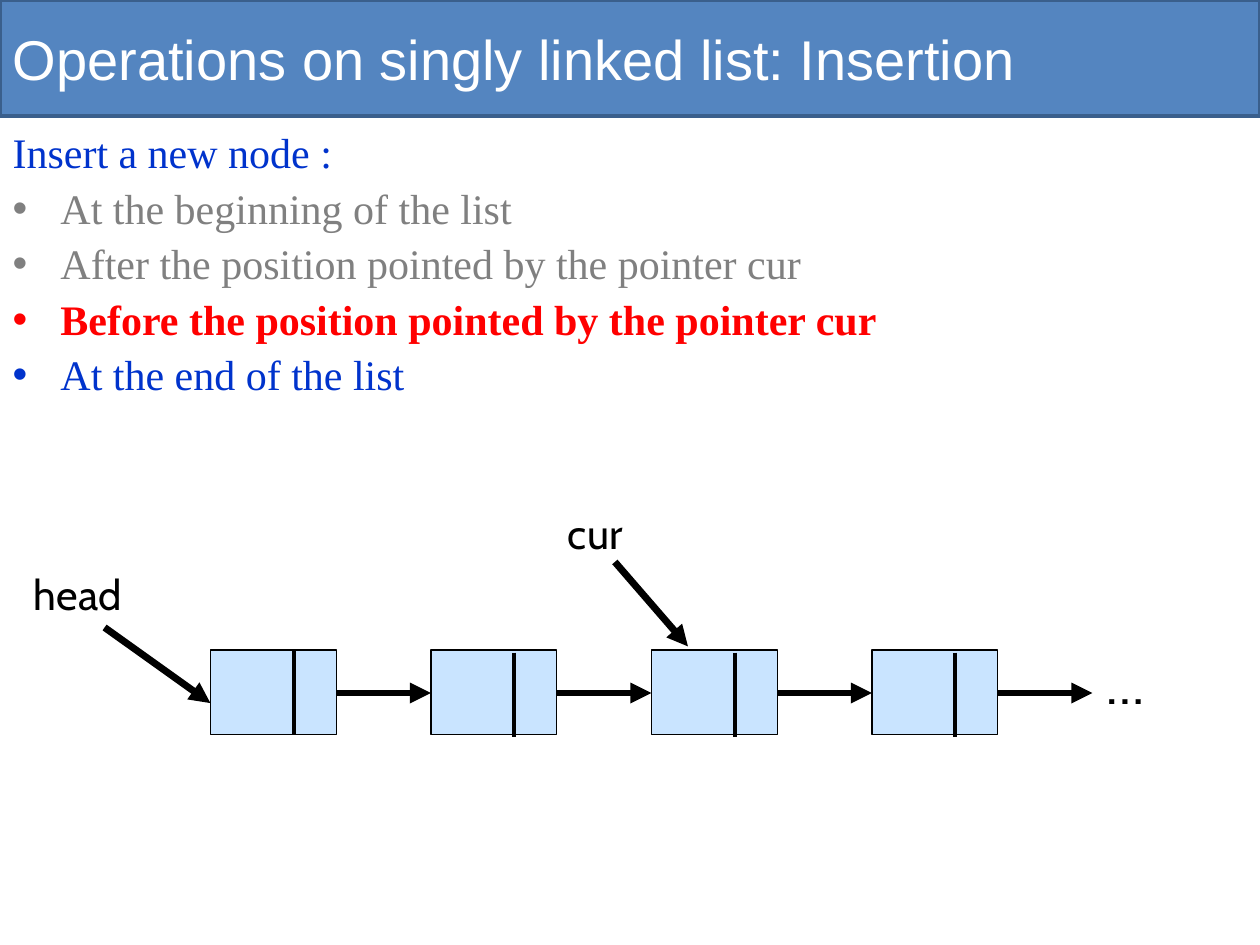
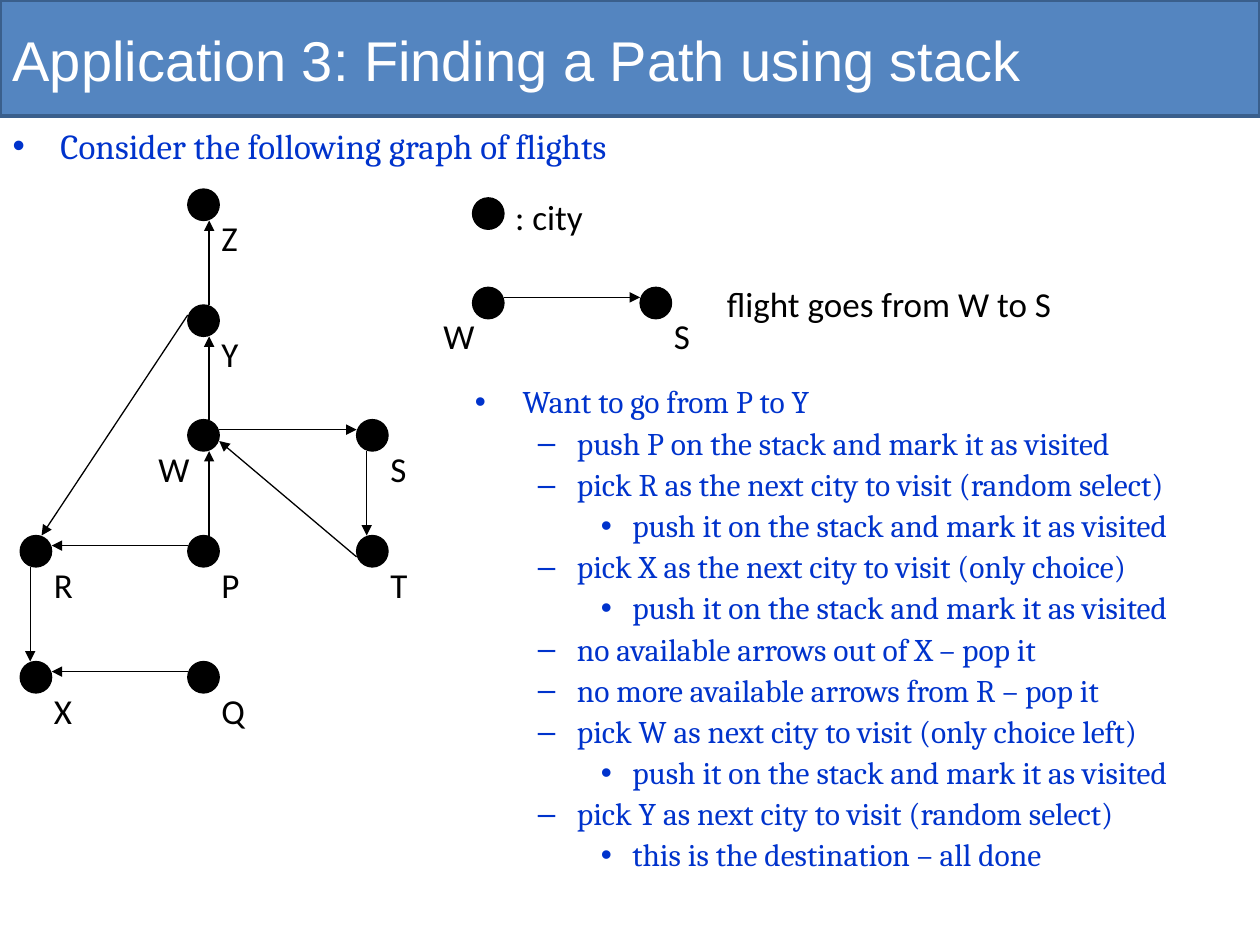
from dataclasses import dataclass
from lxml.etree import SubElement
from pptx import Presentation
from pptx.dml.color import RGBColor
from pptx.enum.shapes import MSO_CONNECTOR, MSO_SHAPE
from pptx.enum.text import MSO_ANCHOR, MSO_AUTO_SIZE, PP_ALIGN
from pptx.oxml.ns import qn
from pptx.util import Inches, Pt


@dataclass(frozen=True)
class Theme:
    band: str = "5485C0"
    edge: str = "3A5F8C"
    blue: str = "0033CC"
    gray: str = "808080"
    red: str = "FF0000"
    cell: str = "C9E4FF"
    ink: str = "000000"
    white: str = "FFFFFF"
    head: int = 32
    large: int = 24
    mid: int = 20
    small: int = 18


T = Theme()

# Bullet, left margin and hanging indent of each list level
LEVELS = [("•", 0.38, -0.38), ("–", 0.81, -0.31), ("•", 1.25, -0.25)]

ITEMS = [
    ("Insert a new node :", None, T.blue, False),
    ("At the beginning of the list", 0, T.gray, False),
    ("After the position pointed by the pointer cur", 0, T.gray, False),
    ("Before the position pointed by the pointer cur", 0, T.red, True),
    ("At the end of the list", 0, T.blue, False),
]

PUSH = "push it on the stack and mark it as visited"
STEPS = [
    ("Want to go from P to Y", 0),
    ("push P on the stack and mark it as visited", 1),
    ("pick R as the next city to visit (random select)", 1),
    (PUSH, 2),
    ("pick X as the next city to visit (only choice)", 1),
    (PUSH, 2),
    ("no available arrows out of X – pop it", 1),
    ("no more available arrows from R – pop it", 1),
    ("pick W as next city to visit (only choice left)", 1),
    (PUSH, 2),
    ("pick Y as next city to visit (random select)", 1),
    ("this is the destination – all done", 2),
]

# Flight graph: column and row of each city, then routes between ports
COLS = [0, 1.33, 2.67]
ROWS = [0, 0.92, 1.83, 2.75, 3.75]
CITIES = {"Z": (1, 0), "Y": (1, 1), "W": (1, 2), "S": (2, 2), "R": (0, 3),
          "P": (1, 3), "T": (2, 3), "X": (0, 4), "Q": (1, 4)}
DOT = 0.25
PORTS = {"left": (0, 0.08), "low left": (0, 0.17),
         "right": (DOT, 0.08), "low right": (DOT, 0.17),
         "top": (0.08, 0), "far top": (0.17, 0),
         "foot": (0.08, DOT), "far foot": (0.17, DOT)}
ROUTES = [
    ("P", "left", "R", "right"), ("Q", "left", "X", "right"),
    ("R", "foot", "X", "top"), ("Y", "left", "R", "far top"),
    ("P", "far top", "W", "far foot"), ("W", "far top", "Y", "far foot"),
    ("Y", "far top", "Z", "far foot"), ("W", "right", "S", "left"),
    ("S", "foot", "T", "top"), ("T", "low left", "W", "low right"),
]


def apply(target, fmt):
    for name, value in fmt.items():
        setattr(target, name, value)


def place(item, box):
    names = ("left", "top", "width", "height")
    apply(item, dict(zip(names, map(Inches, box))))


def write(para, text, size, font, color, bold=False):
    run = para.add_run()
    run.text = text
    apply(run.font, {"size": Pt(size), "name": font, "bold": bold})
    run.font.color.rgb = RGBColor.from_string(color)


def bullet(para, level):
    props = para._p.get_or_add_pPr()
    mark, left, hang = (None, 0, 0) if level is None else LEVELS[level]
    props.set("marL", str(Inches(left)))
    props.set("indent", str(Inches(hang)))
    if mark:
        SubElement(props, qn("a:buFont")).set("typeface", "Arial")
        SubElement(props, qn("a:buChar")).set("char", mark)
    else:
        SubElement(props, qn("a:buNone"))


def fill_list(frame, items, size, font, gap, pitch=0.9):
    """Items are (text, level, colour, bold)."""
    apply(frame, {"word_wrap": True, "auto_size": MSO_AUTO_SIZE.NONE,
                  "vertical_anchor": MSO_ANCHOR.TOP})
    for i, (text, level, color, bold) in enumerate(items):
        para = frame.add_paragraph() if i else frame.paragraphs[0]
        apply(para, {"level": level or 0, "line_spacing": pitch,
                     "space_before": Pt(gap if i else 0)})
        bullet(para, level)
        write(para, text, size, font, color, bold)


def label(slide, box, text, size, font):
    item = slide.shapes.add_textbox(*map(Inches, box))
    item.text_frame.word_wrap = True
    write(item.text_frame.paragraphs[0], text, size, font, T.ink)


def shape(slide, kind, box, fill, edge=T.ink, weight=0.75):
    item = slide.shapes.add_shape(kind, *map(Inches, box))
    item.shadow.inherit = False
    item.fill.solid()
    item.fill.fore_color.rgb = RGBColor.from_string(fill)
    item.line.color.rgb = RGBColor.from_string(edge)
    item.line.width = Pt(weight)
    return item


def line(slide, start, end, weight, arrow=True):
    item = slide.shapes.add_connector(
        MSO_CONNECTOR.STRAIGHT, *map(Inches, (*start, *end)))
    item.line.color.rgb = RGBColor.from_string(T.ink)
    item.line.width = Pt(weight)
    if arrow:
        SubElement(item.line._get_or_add_ln(), qn("a:tailEnd")).set("type", "triangle")
    SubElement(item._element.spPr, qn("a:effectLst"))


def add_band(deck, slide):
    """Put the title band at the back of the master."""
    band = shape(slide, MSO_SHAPE.RECTANGLE, (0, 0, 10, 0.92), T.band, T.edge, 2)
    deck.slide_master.shapes.element.insert(2, band.element)


def add_title(slide, text, box):
    title = slide.shapes.title
    place(title, box)
    apply(title.text_frame, {"word_wrap": True, "auto_size": MSO_AUTO_SIZE.NONE,
                             "vertical_anchor": MSO_ANCHOR.MIDDLE})
    para = title.text_frame.paragraphs[0]
    para.alignment = PP_ALIGN.LEFT
    write(para, text, T.head, "Arial", T.white)


def add_body(slide, box, *args):
    body = slide.placeholders[1]
    place(body, box)
    fill_list(body.text_frame, *args)


def draw_chain(slide, x, y, count=4):
    """Linked list whose first node has its corner at x, y."""
    wide, high, step = 1, 0.67, 1.75
    for i in range(count):
        left = x + i * step
        shape(slide, MSO_SHAPE.RECTANGLE, (left, y, wide, high), T.cell)
        line(slide, (left + wide, y + 0.34), (left + step, y + 0.34), 4)
        drop = y + (0.02 if i else 0)
        line(slide, (left + 0.66, drop), (left + 0.66, drop + high), 2.25, False)
    # Pointers
    line(slide, (x - 0.84, y - 0.18), (x, y + 0.42), 4)
    label(slide, (x - 1.5, y - 0.7, 1.5, 0.5), "head", T.large, "Cabin")
    line(slide, (x + 3.21, y - 0.7), (x + 3.79, y - 0.03), 4)
    label(slide, (x + 2.74, y - 1.18, 1.5, 0.5), "cur", T.large, "Cabin")
    label(slide, (x + count * step + 0.01, y - 0.06, 1.17, 0.63),
          "…", T.head, "Cabin")


def draw_city(slide, x, y, name=""):
    shape(slide, MSO_SHAPE.OVAL, (x, y, DOT, DOT), T.ink)
    if name:
        shift = -0.33 if name == "W" else 0.17
        label(slide, (x + shift, y + 0.17, 0.46, 0.44), name, T.mid, "Calibri")


def draw_graph(slide, x, y):
    spots = {name: (x + COLS[col], y + ROWS[row])
             for name, (col, row) in CITIES.items()}
    for name, spot in spots.items():
        draw_city(slide, *spot, name)

    def port(name, side):
        return [a + b for a, b in zip(spots[name], PORTS[side])]

    for start, leave, end, reach in ROUTES:
        line(slide, port(start, leave), port(end, reach), 0.75)


def draw_key(slide, x, y):
    draw_city(slide, x, y)
    label(slide, (x + 0.24, y - 0.07, 1, 0.44), ": city", T.mid, "Calibri")
    row = y + 0.71
    draw_city(slide, x, row, "W")
    draw_city(slide, x + 1.33, row, "S")
    line(slide, (x + DOT, row + 0.08), (x + 1.33, row + 0.08), 0.75)
    label(slide, (x + 1.92, row - 0.09, 3, 0.44),
          "flight goes from W to S", T.mid, "Calibri")


def add_steps(slide, box):
    item = slide.shapes.add_textbox(*map(Inches, box))
    rows = [(text, level, T.blue, False) for text, level in STEPS]
    fill_list(item.text_frame, rows, T.small, "Cambria", 4.1)


def list_slide(slide):
    add_title(slide, "Operations on singly linked list: Insertion",
              (0, 0, 10, 0.92))
    add_body(slide, (0, 1, 10, 5.83), ITEMS, T.large, "Times New Roman", 5.8)
    draw_chain(slide, 1.67, 5.16)


def path_slide(slide):
    add_title(slide, "Application 3: Finding a Path using stack",
              (0, 0, 9.5, 0.94))
    topic = ("Consider the following graph of flights", 0, T.blue, False)
    add_body(slide, (0, 0.94, 9.5, 1.09), [topic], T.mid, "Cambria", 0, 1.0)
    draw_graph(slide, 0.16, 1.5)
    draw_key(slide, 3.75, 1.57)
    add_steps(slide, (3.67, 3.02, 6.25, 4.15))


def main():
    deck = Presentation()
    apply(deck, {"slide_width": Inches(10), "slide_height": Inches(7.5)})
    pages = [deck.slides.add_slide(deck.slide_layouts[1]) for _ in range(2)]
    add_band(deck, pages[0])
    list_slide(pages[0])
    path_slide(pages[1])
    deck.save("out.pptx")


if __name__ == "__main__":
    main()
